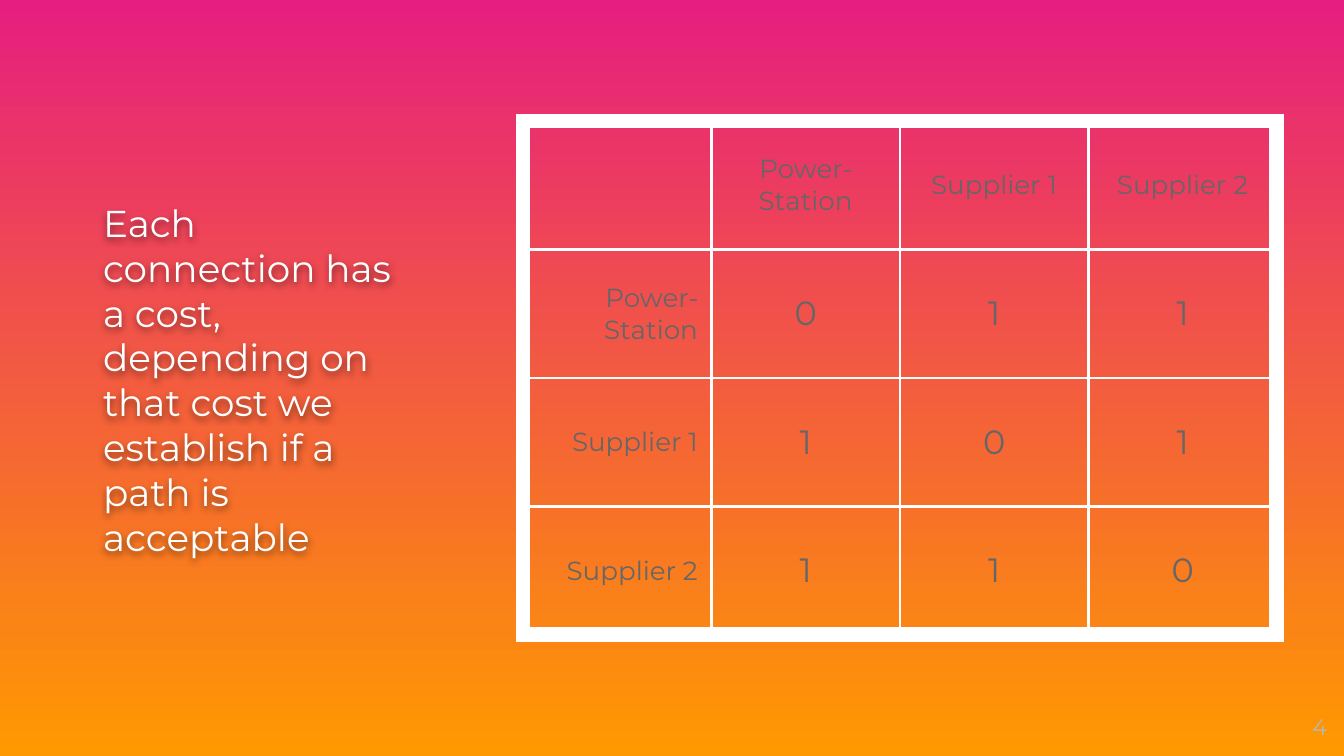
from lxml import etree
from pptx import Presentation
from pptx import util as u
from pptx.dml.color import RGBColor
from pptx.enum import text as t
from pptx.oxml import ns

# Content
MESSAGE = ("Each connection has a cost, depending on that cost we "
           "establish if a path is acceptable")
PAGE_NUMBER = "4"
NODES = ["Power-Station", "Supplier 1", "Supplier 2"]
COSTS = [[0, 1, 1], [1, 0, 1], [1, 1, 0]]

# Style
FONT = "Montserrat"
COLORS = {"top": "E61E7F", "bottom": "FF9900", "white": "FFFFFF",
          "cell": "666666", "number": "B7B7B7", "shadow": "000000"}
INNER, OUTER = 1.5, 9  # border widths in points
PX = 914400 / 134.4


def px(length):
    return u.Emu(round(length * PX))


def rgb(name):
    return RGBColor.from_string(COLORS[name])


def write(frame, words, size, color, align):
    frame.text = words
    frame.word_wrap = True
    para = frame.paragraphs[0]
    para.alignment = align
    for span in para.runs:
        span.font.name = FONT
        span.font.size = u.Pt(size)
        span.font.color.rgb = rgb(color)
    return para


def add_text(page, area, words, size, color, align):
    box = page.shapes.add_textbox(*map(px, area))
    frame = box.text_frame
    frame.margin_left = frame.margin_right = 0
    frame.margin_top = frame.margin_bottom = 0
    frame.vertical_anchor = t.MSO_ANCHOR.MIDDLE
    return box, write(frame, words, size, color, align)


def add_color(parent, name, alpha=100):
    color = etree.SubElement(parent, ns.qn("a:srgbClr"), val=COLORS[name])
    if alpha < 100:
        etree.SubElement(color, ns.qn("a:alpha"), val=str(alpha * 1000))


def add_shadow(box):
    effects = etree.SubElement(box.element.spPr, ns.qn("a:effectLst"))
    shadow = etree.SubElement(
        effects, ns.qn("a:outerShdw"), blurRad=str(u.Pt(4)), dist=str(u.Pt(1.5)),
        dir="5400000", algn="bl", rotWithShape="0")
    add_color(shadow, "shadow", 50)


def set_borders(cell, widths):
    properties = cell._tc.get_or_add_tcPr()
    for place, (side, width) in enumerate(widths.items()):
        line = etree.Element(ns.qn(f"a:ln{side}"), w=str(u.Pt(width)))
        add_color(etree.SubElement(line, ns.qn("a:solidFill")), "white")
        properties.insert(place, line)


deck = Presentation()
deck.slide_width, deck.slide_height = px(1344), px(756)
page = deck.slides.add_slide(deck.slide_layouts[6])

# Background gradient, running downwards
fill = page.background.fill
fill.gradient()
fill.gradient_angle = 270
for stop, name in zip(fill.gradient_stops, ("top", "bottom")):
    stop.color.rgb = rgb(name)

# Message
message, para = add_text(page, (103, 135, 297, 489), MESSAGE, 20, "white",
                         t.PP_ALIGN.LEFT)
para.line_spacing = u.Pt(24)
add_shadow(message)

# Cost matrix with a heavy outer frame
rows = [["", *NODES]] + [[node, *map(str, costs)]
                         for node, costs in zip(NODES, COSTS)]
count = len(rows)
table = page.shapes.add_table(count, count, px(523), px(121),
                              px(754), px(514)).table
table.first_row = table.horz_banding = False
last = count - 1
for r, row in enumerate(rows):
    for c, words in enumerate(row):
        cell = table.cell(r, c)
        cell.fill.background()
        cell.vertical_anchor = t.MSO_ANCHOR.MIDDLE
        cell.margin_left = cell.margin_right = u.Inches(0.1)
        cell.margin_top = cell.margin_bottom = u.Inches(0.07)
        row_label = c == 0
        write(cell.text_frame, words, 18 if r and c else 14, "cell",
              t.PP_ALIGN.RIGHT if row_label else t.PP_ALIGN.CENTER)
        set_borders(cell, {"L": OUTER if c == 0 else INNER,
                           "R": OUTER if c == last else INNER,
                           "T": OUTER if r == 0 else INNER,
                           "B": OUTER if r == last else INNER})

# Page number
add_text(page, (1246, 698, 81, 58), PAGE_NUMBER, 12, "number",
         t.PP_ALIGN.RIGHT)

deck.save("out.pptx")
